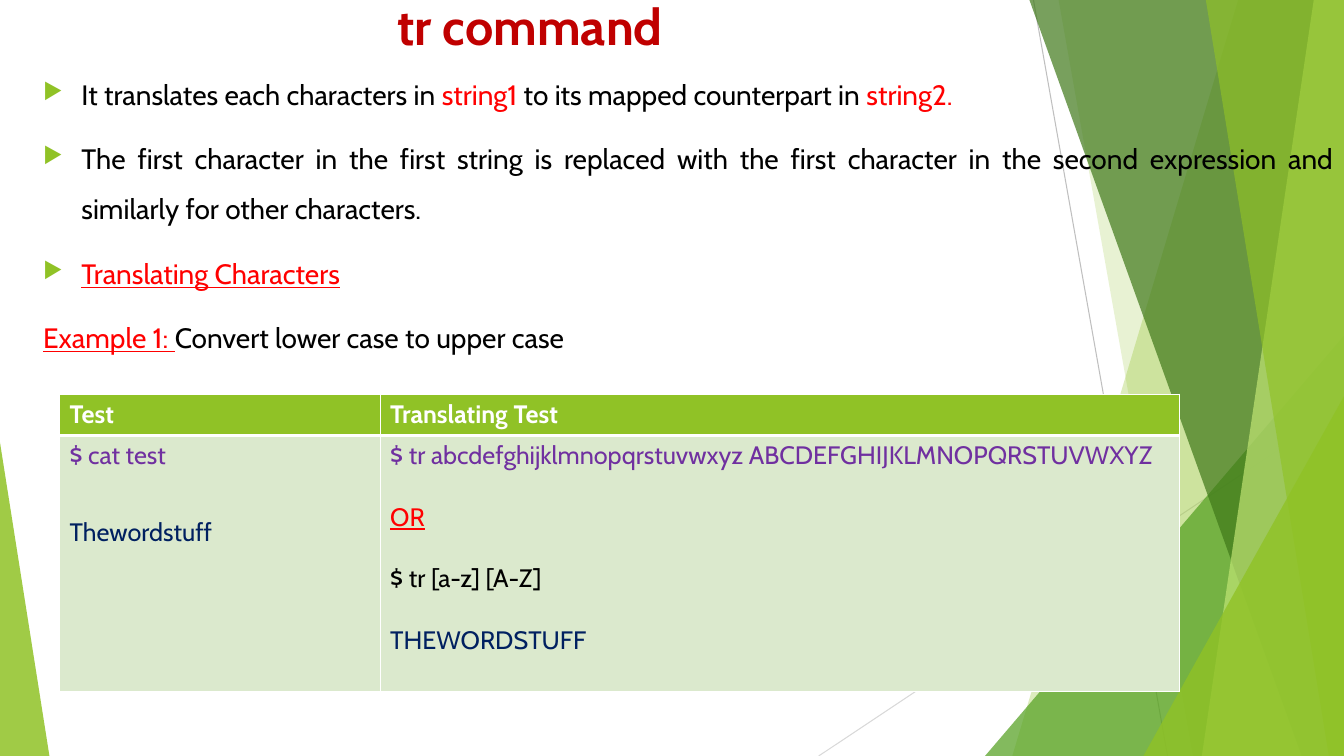
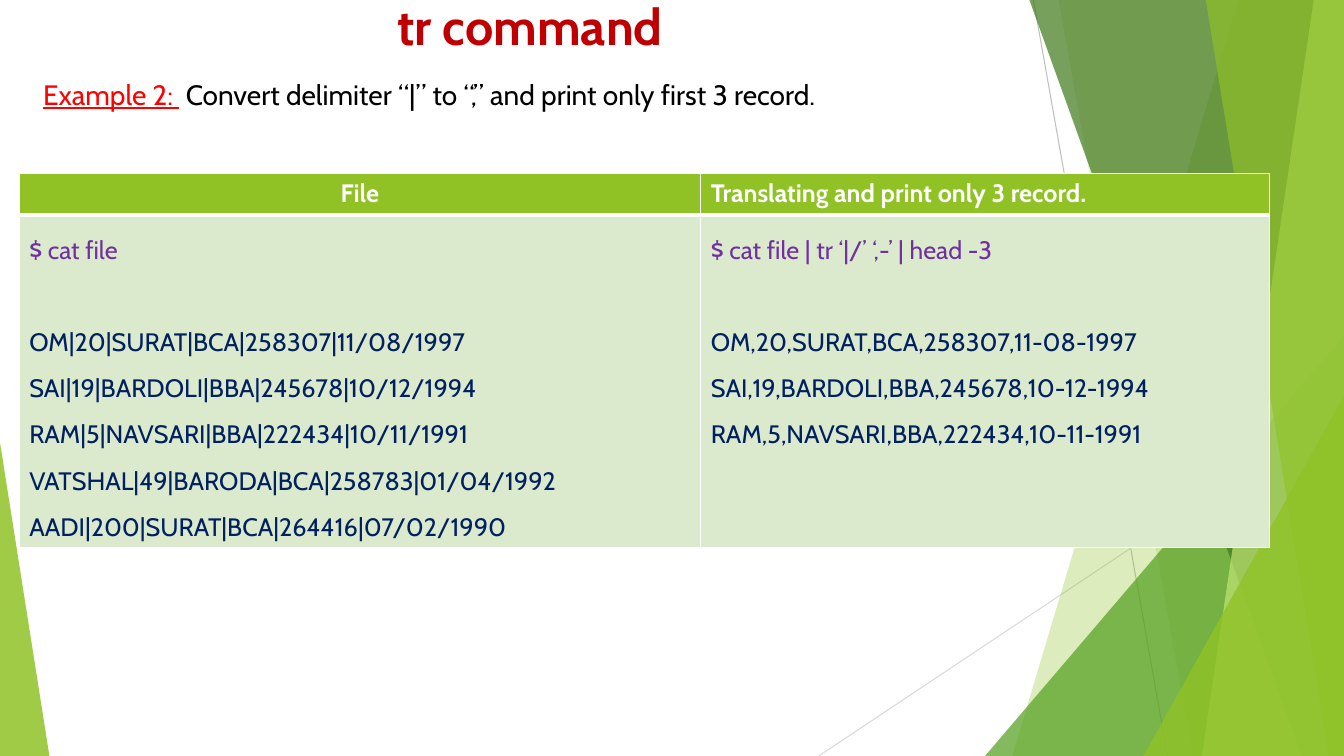
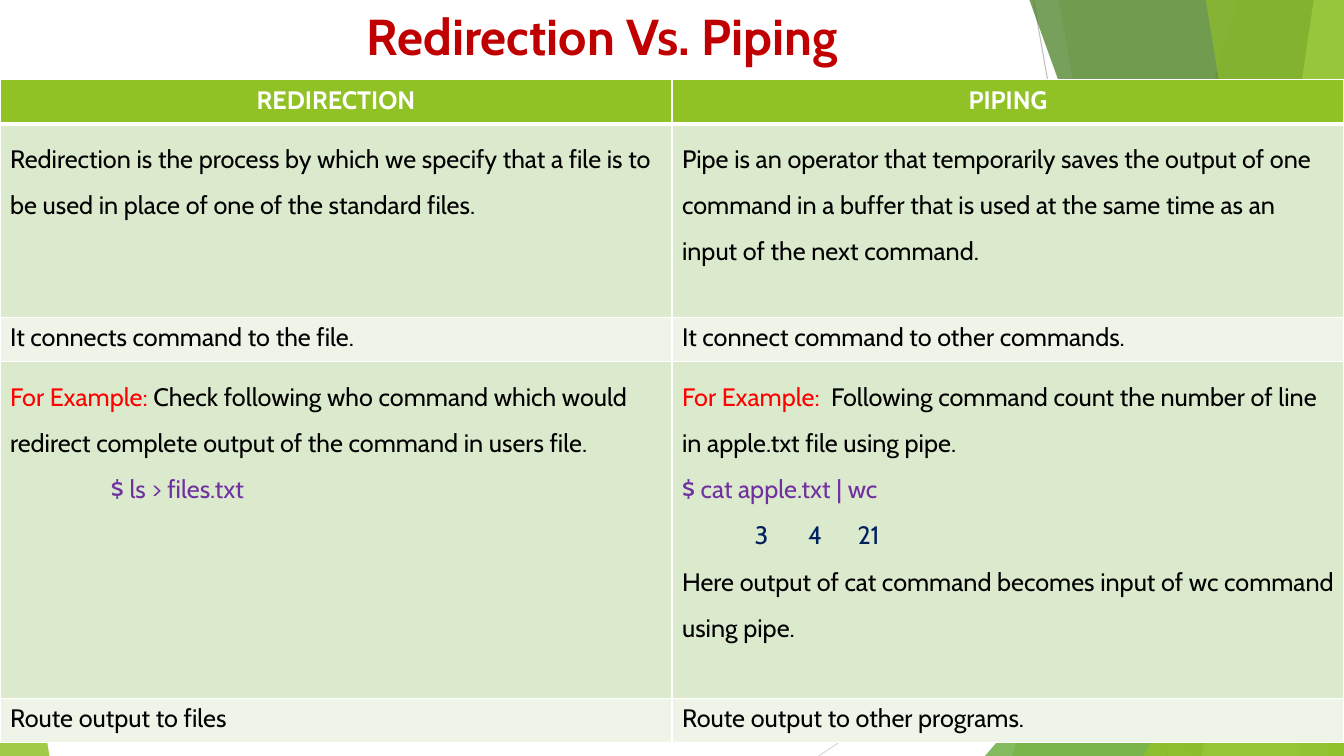
from functools import partial

from lxml.etree import SubElement
from pptx import Presentation
from pptx.dml.color import RGBColor
from pptx.enum.shapes import MSO_CONNECTOR, MSO_SHAPE
from pptx.enum.text import PP_ALIGN
from pptx.oxml.ns import qn
from pptx.util import Inches, Pt

WIDTH, HEIGHT = 13.33, 7.5
FACE = "Cabin"
GREEN, WHITE = "90C226", "FFFFFF"
BANDS = ["DBE9CD", "EEF4E8"]

STYLES = {
    "title": ("C00000", {"bold": True}),
    "head": (WHITE, {"bold": True}),
    "text": ("000000", {}),
    "key": ("FF0000", {}),
    "label": ("FF0000", {"underline": True}),
    "code": ("7030A0", {}),
    "data": ("002060", {}),
}

PLAIN = {}
MID = {"alignment": PP_ALIGN.CENTER}
WIDE = {"line_spacing": 1.5}
JUST = WIDE | {"alignment": PP_ALIGN.JUSTIFY}
BODY = JUST | {"space_before": Pt(10)}
GAP = {"space_before": Pt(22)}

LINES = [
    ("BFBFBF", 10.25, 0, 11.58, HEIGHT),
    ("D9D9D9", WIDTH, 4.03, 8.12, HEIGHT),
]


def color(code):
    return RGBColor.from_string(code)


def apply(target, values):
    for name, value in values.items():
        setattr(target, name, value)


def tint(shape, code, alpha):
    shape.shadow.inherit = False
    shape.fill.solid()
    shape.fill.fore_color.rgb = color(code)
    shape.line.fill.background()
    node = next(shape._element.spPr.iter(qn("a:srgbClr")))
    SubElement(node, qn("a:alpha"), val=str(alpha * 1000))


def line(slide, code, *ends):
    link = slide.shapes.add_connector(MSO_CONNECTOR.STRAIGHT, *map(Inches, ends))
    link.line.color.rgb = color(code)
    link.line.width = Pt(0.75)
    SubElement(link._element.spPr, qn("a:effectLst"))


def slab(slide, top, base, code, alpha):
    points = [(WIDTH, 0), (WIDTH, HEIGHT), (base, HEIGHT)]
    pen = slide.shapes.build_freeform(Inches(top), 0)
    pen.add_line_segments([(Inches(x), Inches(y)) for x, y in points])
    tint(pen.convert_to_shape(), code, alpha)


def wedge(slide, left, top, width, tip, code, alpha):
    box = map(Inches, (left, top, width, HEIGHT - top))
    shape = slide.shapes.add_shape(MSO_SHAPE.ISOSCELES_TRIANGLE, *box)
    shape.adjustments[0] = tip
    tint(shape, code, alpha)


def decor(slide):
    for item in LINES:
        line(slide, *item)
    slab(slide, 12.28, 10.04, GREEN, 30)
    slab(slide, 10.5, 11.83, GREEN, 20)
    wedge(slide, 9.77, 3.33, 3.56, 1, "54A021", 72)
    slab(slide, 10.21, 12.91, "3F7819", 70)
    slab(slide, 13.03, 11.92, "C0E474", 70)
    slab(slide, 11.96, 13.18, GREEN, 65)
    wedge(slide, 11.34, 3.93, 1.99, 1, GREEN, 80)
    wedge(slide, 0, 4.39, 0.49, 0, GREEN, 85)


def bullet(para):
    props = para._p.get_or_add_pPr()
    props.set("marL", str(Inches(0.38)))
    props.set("indent", str(-Inches(0.38)))
    SubElement(SubElement(props, qn("a:buClr")), qn("a:srgbClr"), val=GREEN)
    SubElement(props, qn("a:buSzPct"), val="80000")
    SubElement(props, qn("a:buChar"), char="▶")


def tabs(stops, para):
    group = SubElement(para._p.get_or_add_pPr(), qn("a:tabLst"))
    for stop in stops:
        SubElement(group, qn("a:tab"), pos=str(Inches(stop)), algn="l")


def write(frame, size, paras):
    frame.word_wrap = True
    for spot, (form, runs, *marks) in enumerate(paras):
        para = frame.add_paragraph() if spot else frame.paragraphs[0]
        apply(para, form)
        for mark in marks:
            mark(para)
        for style, words in runs:
            run = para.add_run()
            run.text = words
            code, extra = STYLES[style]
            apply(run.font, {"name": FACE, "size": Pt(size)} | extra)
            run.font.color.rgb = color(code)


def note(slide, box, size, paras):
    shape = slide.shapes.add_textbox(*map(Inches, box))
    write(shape.text_frame, size, paras)


def edge(cell, row):
    props = cell._tc.get_or_add_tcPr()
    sides = {"L": 1, "R": 1, "T": 3 if row == 1 else 1, "B": 1 if row else 3}
    for side, width in sides.items():
        rule = SubElement(props, qn(f"a:ln{side}"), w=str(Pt(width)))
        fill = SubElement(rule, qn("a:solidFill"))
        SubElement(fill, qn("a:srgbClr"), val=WHITE)


def grid(slide, left, top, cols, rows, cells):
    box = map(Inches, (left, top, sum(cols), sum(rows)))
    table = slide.shapes.add_table(len(rows), len(cols), *box).table
    for col, width in zip(table.columns, cols):
        col.width = Inches(width)
    for row, height in enumerate(rows):
        table.rows[row].height = Inches(height)
        for col, paras in enumerate(cells[row]):
            cell = table.cell(row, col)
            edge(cell, row)
            cell.fill.solid()
            cell.fill.fore_color.rgb = color(BANDS[(row - 1) % 2] if row else GREEN)
            write(cell.text_frame, 18, paras)


def one(style, words, form=PLAIN):
    return form, [(style, words)]


def page(deck, title, box):
    slide = deck.slides.add_slide(deck.slide_layouts[6])
    decor(slide)
    note(slide, box, 36, [one("title", title)])
    return slide


def topic(deck, paras):
    slide = page(deck, "tr command", (3.84, -0.1, 4.86, 0.73))
    note(slide, (0.33, 0.55, 13, 5.76), 20, paras)
    return slide


def upper(deck):
    slide = topic(deck, [
        (BODY, [
            ("text", "It translates each characters in "),
            ("key", "string1"),
            ("text", " to its mapped counterpart in "),
            ("key", "string2."),
        ], bullet),
        (BODY, [("text", "The first character in the first string is replaced with the "
                 "first character in the second expression and similarly for other "
                 "characters.")], bullet),
        (BODY, [("label", "Translating Characters")], bullet),
        (BODY, [("label", "Example 1: "), ("text", "Convert lower case to upper case")]),
    ])
    grid(slide, 0.59, 3.91, [3.18, 7.93], [0.41, 2.54], [
        [[one("head", "Test")], [one("head", "Translating Test")]],
        [
            [one("code", "$ cat test"), one("data", "Thewordstuff", JUST | GAP)],
            [
                one("code", "$ tr abcdefghijklmnopqrstuvwxyz ABCDEFGHIJKLMNOPQRSTUVWXYZ"),
                one("label", "OR", GAP),
                one("text", "$ tr [a-z] [A-Z]", GAP),
                one("data", "THEWORDSTUFF", GAP),
            ],
        ],
    ])


def listing(code, first, *rest):
    return [
        one("code", code, JUST),
        one("data", first, JUST | {"space_before": Pt(33)}),
        *(one("data", item, JUST) for item in rest),
    ]


def delim(deck):
    slide = topic(deck, [(BODY, [
        ("label", "Example 2: "),
        ("text", " Convert delimiter “|” to “,” and print only first 3 record."),
    ])])
    files = [
        "OM|20|SURAT|BCA|258307|11/08/1997",
        "SAI|19|BARDOLI|BBA|245678|10/12/1994",
        "RAM|5|NAVSARI|BBA|222434|10/11/1991",
        "VATSHAL|49|BARODA|BCA|258783|01/04/1992",
        "AADI|200|SURAT|BCA|264416|07/02/1990",
    ]
    heads = [item.replace("|", ",").replace("/", "-") for item in files[:3]]
    grid(slide, 0.19, 1.72, [6.76, 5.64], [0.41, 3.3], [
        [[one("head", "File", MID)],
         [one("head", "Translating and print only 3 record.")]],
        [listing("$ cat file", *files),
         listing("$ cat file | tr ‘|/’ ‘,-’ | head -3", *heads)],
    ])


def versus(deck):
    slide = page(deck, "Redirection Vs. Piping", (3.54, 0, 5.47, 0.82))
    grid(slide, 0, 0.79, [WIDTH / 2] * 2, [0.44, 1.92, 0.44, 3.34, 0.44], [
        [[one("head", "REDIRECTION", MID)], [one("head", "PIPING", MID)]],
        [
            [one("text", "Redirection is the process by which we specify that a file "
                 "is to be used in place of one of the standard files.", WIDE)],
            [one("text", "Pipe is an operator that temporarily saves the output of one "
                 "command in a buffer that is used at the same time as an input of the "
                 "next command.", WIDE)],
        ],
        [[one("text", "It connects command to the file.")],
         [one("text", "It connect command to other commands.")]],
        [
            [
                (WIDE, [("key", "For Example: "),
                        ("text", "Check following who command which would redirect "
                         "complete output of the command in users file.")]),
                (*one("code", "\t$ ls > files.txt", WIDE), partial(tabs, [1])),
            ],
            [
                (WIDE, [("key", "For Example: "),
                        ("text", " Following command count the number of line "
                         "in apple.txt file using pipe.")]),
                one("code", "$ cat apple.txt | wc", JUST),
                (*one("data", "\t3\t4\t21", WIDE), partial(tabs, [0.72, 1.25, 1.74])),
                one("text", "Here output of cat command becomes input of wc command "
                    "using pipe.", JUST),
            ],
        ],
        [[one("text", "Route output to files")],
         [one("text", "Route output to other programs.")]],
    ])


def main():
    deck = Presentation()
    apply(deck, {"slide_width": Inches(WIDTH), "slide_height": Inches(HEIGHT)})
    for build in (upper, delim, versus):
        build(deck)
    deck.save("out.pptx")


if __name__ == "__main__":
    main()
